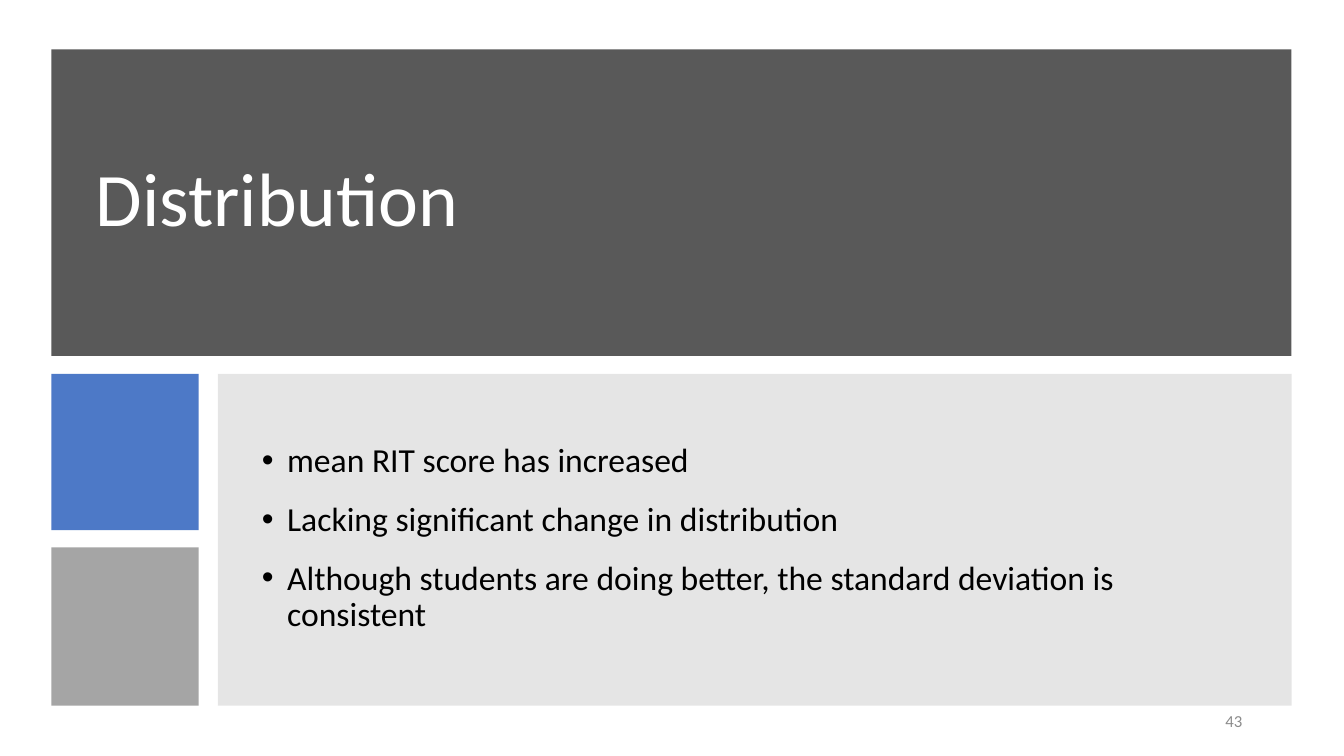
import pptx
import pptx.util
from lxml import etree
from pptx.dml.color import RGBColor
from pptx.enum.shapes import MSO_SHAPE
from pptx.enum.text import MSO_ANCHOR, PP_ALIGN
from pptx.oxml.ns import qn
from pptx.util import Inches, Pt

TITLE = "Distribution"
FINDINGS = [
    "mean RIT score has increased",
    "Lacking significant change in distribution",
    "Although students are doing better, the standard deviation is consistent",
]
PAGE_NUMBER = "43"

FONT = "Calibri"
WHITE = RGBColor(0xFF, 0xFF, 0xFF)
BLACK = RGBColor(0, 0, 0)
DARK_GRAY = RGBColor(0x59, 0x59, 0x59)
MID_GRAY = RGBColor(0x80, 0x80, 0x80)
LIGHT_GRAY = RGBColor(0xA5, 0xA5, 0xA5)
NUMBER_GRAY = RGBColor(0x8C, 0x8C, 0x8C)
BLUE = RGBColor(0x44, 0x72, 0xC4)

# left, top, width, height in inches; colour; opacity in percent
PANELS = [
    ((0.51, 0.49, 12.3, 3.04), DARK_GRAY, 100),
    ((0.51, 3.71, 1.46, 1.55), BLUE, 95),
    ((0.51, 5.43, 1.46, 1.57), LIGHT_GRAY, 100),
    ((2.16, 3.71, 10.65, 3.29), MID_GRAY, 20),
]


def add_panel(slide, box, color, opacity):
    panel = slide.shapes.add_shape(MSO_SHAPE.RECTANGLE, *map(Inches, box))
    panel.shadow.inherit = False
    panel.line.fill.background()
    panel.fill.solid()
    panel.fill.fore_color.rgb = color
    if opacity < 100:
        fill_color = panel.fill._xPr.find(qn("a:solidFill"))[0]
        etree.SubElement(fill_color, qn("a:alpha"), val=str(opacity * 1000))


def add_bullet(paragraph):
    properties = paragraph._p.get_or_add_pPr()
    properties.set("marL", str(Inches(0.25)))
    properties.set("indent", str(Inches(-0.25)))
    etree.SubElement(properties, qn("a:buFont"), typeface="Arial")
    etree.SubElement(properties, qn("a:buChar"), char="•")


def add_text(slide, box, lines, size, color, bulleted=False):
    """Add a vertically centred text box and return its paragraphs."""
    frame = slide.shapes.add_textbox(*map(Inches, box)).text_frame
    frame.word_wrap = True
    frame.vertical_anchor = MSO_ANCHOR.MIDDLE
    frame.text = "\n".join(lines)
    for paragraph in frame.paragraphs:
        if bulleted:
            add_bullet(paragraph)
        paragraph.font.name = FONT
        paragraph.font.size = Pt(size)
        paragraph.font.color.rgb = color
    return frame.paragraphs


def main():
    deck = pptx.Presentation()
    deck.slide_width, deck.slide_height = Inches(13.33), Inches(7.5)
    slide = deck.slides.add_slide(deck.slide_layouts[6])

    for box, color, opacity in PANELS:
        add_panel(slide, box, color, opacity)

    title = add_text(slide, (0.85, 0.83, 11.62, 2.34), [TITLE], 54, WHITE)
    title[0].line_spacing = 0.9

    findings = add_text(slide, (2.5, 3.99, 9.96, 2.71), FINDINGS, 24, BLACK, bulleted=True)
    for index, finding in enumerate(findings):
        finding.line_spacing = 0.9
        finding.space_before = Pt(10 if index else 0)
        finding.space_after = Pt(6)

    number = add_text(slide, (9.42, 6.95, 3, 0.4), [PAGE_NUMBER], 12, NUMBER_GRAY)
    number[0].alignment = PP_ALIGN.RIGHT

    deck.save("out.pptx")


if __name__ == "__main__":
    main()
